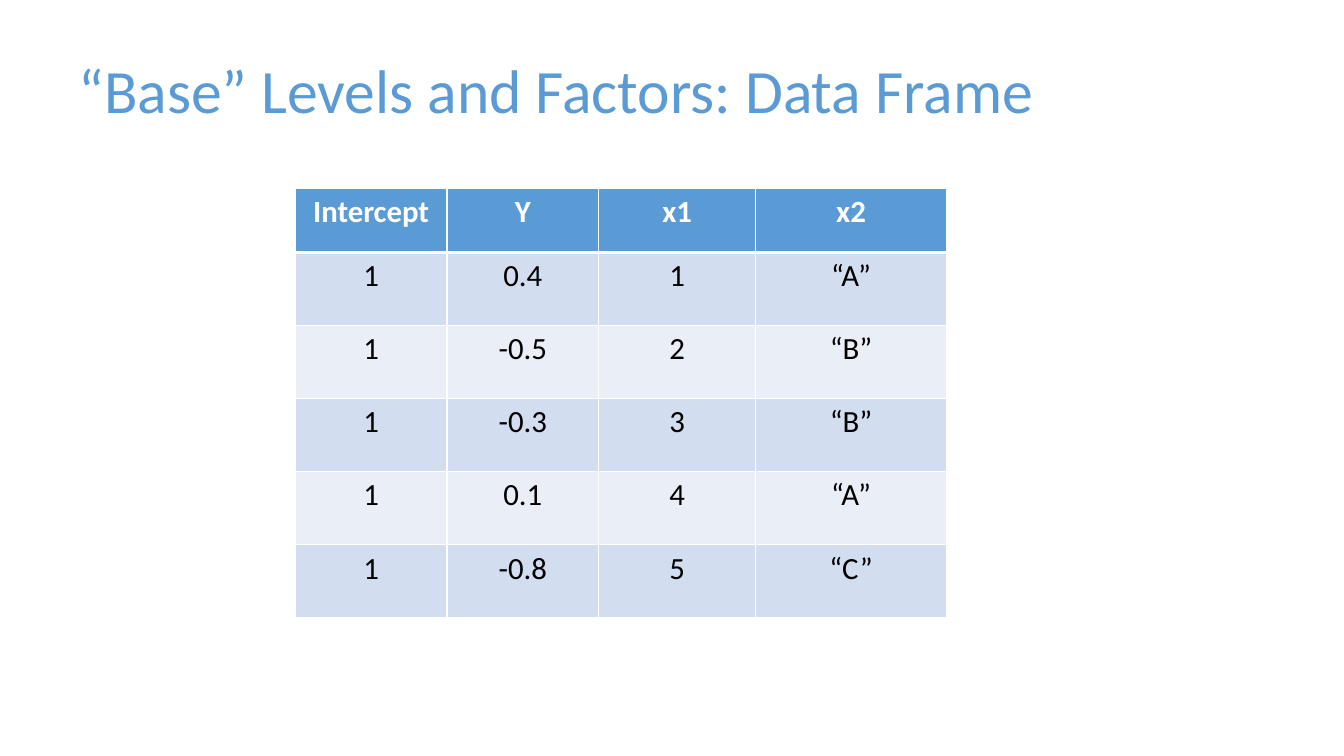
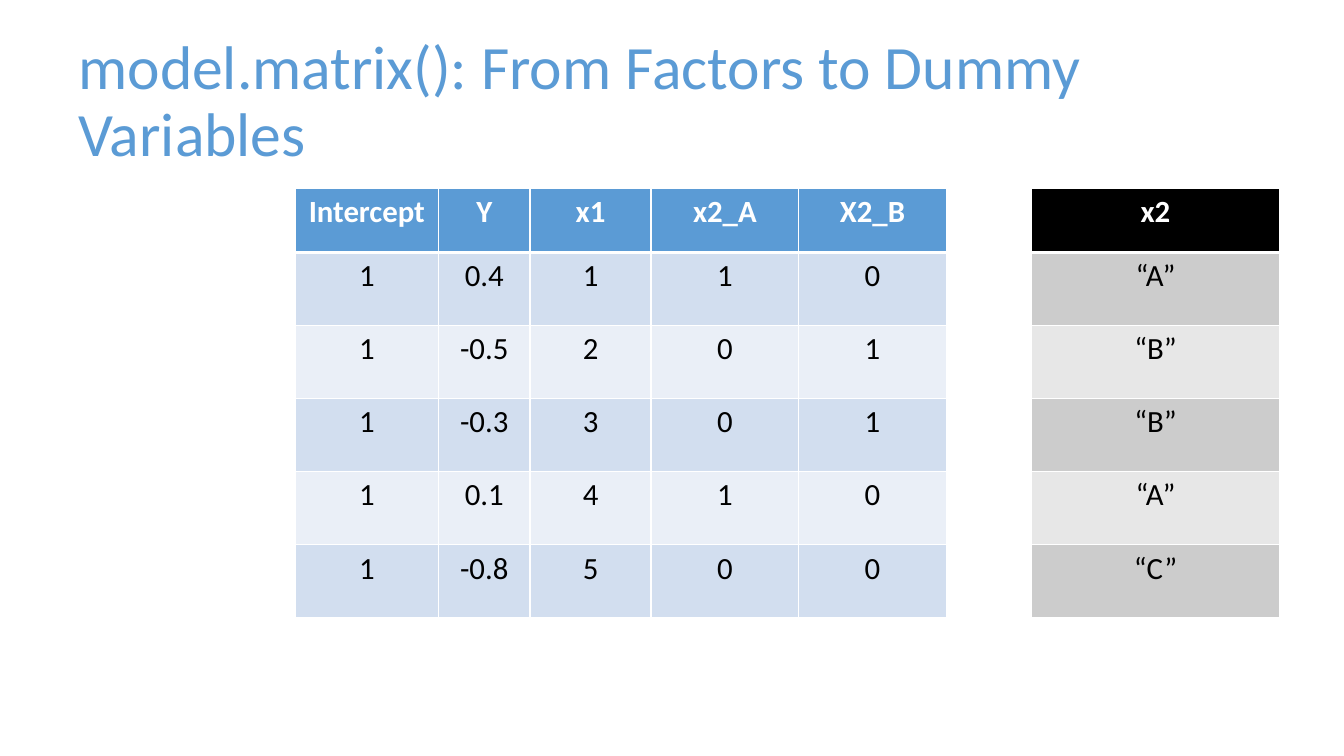
from lxml.etree import SubElement
from pptx import Presentation
from pptx.dml.color import RGBColor
from pptx.enum.text import MSO_ANCHOR, PP_ALIGN
from pptx.oxml.ns import qn
from pptx.util import Emu, Pt

PX = 4572  # EMU per px: 200 px to the inch
FONT = "Calibri"

BLUE = RGBColor(0x5B, 0x9B, 0xD5)
BLUE_BANDS = (RGBColor(0xD2, 0xDE, 0xEF), RGBColor(0xEA, 0xEF, 0xF7))
BLACK = RGBColor(0x00, 0x00, 0x00)
GRAY_BANDS = (RGBColor(0xCC, 0xCC, 0xCC), RGBColor(0xE7, 0xE7, 0xE7))
WHITE = RGBColor(0xFF, 0xFF, 0xFF)

# Table layout shared by both slides
TABLE_LEFT, TABLE_TOP = 586, 374
HEADER_HEIGHT, ROW_HEIGHT = 127, 145

# Observations: Y and the level of factor x2; x1 counts them
RESPONSES = ("0.4", "-0.5", "-0.3", "0.1", "-0.8")
LEVELS = ("A", "B", "B", "A", "C")


def px(length):
    return Emu(length * PX)


def write(frame, text, size=22, color=BLACK, bold=False,
          align=PP_ALIGN.LEFT, line_spacing=None):
    para = frame.paragraphs[0]
    para.alignment = align
    if line_spacing:
        para.line_spacing = line_spacing
    span = para.add_run()
    span.text = text
    span.font.name = FONT
    span.font.size = Pt(size)
    span.font.bold = bold
    span.font.color.rgb = color


def add_title(page, text, width, height):
    box = page.shapes.add_textbox(px(136), px(62), px(width), px(height))
    frame = box.text_frame
    frame.word_wrap = True
    frame.vertical_anchor = MSO_ANCHOR.MIDDLE
    write(frame, text, size=44, color=BLUE, line_spacing=0.9)


def set_borders(cell, top=1, bottom=1):
    properties = cell._tc.get_or_add_tcPr()
    for side, width in (("L", 1), ("R", 1), ("T", top), ("B", bottom)):
        line = SubElement(properties, qn(f"a:ln{side}"), w=str(Pt(width)))
        fill = SubElement(line, qn("a:solidFill"))
        SubElement(fill, qn("a:srgbClr"), val=str(WHITE))


def add_grid(page, left, widths, rows, header_fill=BLUE, bands=BLUE_BANDS):
    height = HEADER_HEIGHT + ROW_HEIGHT * (len(rows) - 1)
    table = page.shapes.add_table(len(rows), len(widths), px(left), px(TABLE_TOP),
                                  px(sum(widths)), px(height)).table
    table.horz_banding = False
    for column, width in zip(table.columns, widths):
        column.width = px(width)

    for index, values in enumerate(rows):
        header = index == 0
        table.rows[index].height = px(HEADER_HEIGHT if header else ROW_HEIGHT)
        for column, value in enumerate(values):
            cell = table.cell(index, column)
            # The rule under the header is thicker than the others
            set_borders(cell, top=3 if index == 1 else 1, bottom=3 if header else 1)
            cell.fill.solid()
            cell.fill.fore_color.rgb = header_fill if header else bands[(index - 1) % 2]
            write(cell.text_frame, str(value), color=WHITE if header else BLACK,
                  bold=header, align=PP_ALIGN.CENTER)


def main():
    deck = Presentation()
    deck.slide_width, deck.slide_height = px(2667), px(1500)
    blank = deck.slide_layouts[6]

    numeric = [(1, y, x1) for x1, y in enumerate(RESPONSES, start=1)]
    factor = [(f"“{level}”",) for level in LEVELS]
    dummies = [(int(level == "A"), int(level == "B")) for level in LEVELS]
    names = ("Intercept", "Y", "x1")

    # Data frame with the factor column
    page = deck.slides.add_slide(blank)
    add_title(page, "“Base” Levels and Factors: Data Frame", 2000, 246)
    add_grid(page, TABLE_LEFT, (301, 301, 312, 378),
             [names + ("x2",)] + [a + b for a, b in zip(numeric, factor)])

    # Model matrix with dummy columns, beside the factor it encodes
    page = deck.slides.add_slide(blank)
    add_title(page, "model.matrix(): From Factors to Dummy Variables", 2202, 284)
    add_grid(page, TABLE_LEFT, (284, 182, 240, 293, 293),
             [names + ("x2_A", "X2_B")] + [a + b for a, b in zip(numeric, dummies)])
    add_grid(page, 2046, (494,), [("x2",)] + factor,
             header_fill=BLACK, bands=GRAY_BANDS)

    deck.save("out.pptx")


if __name__ == "__main__":
    main()
